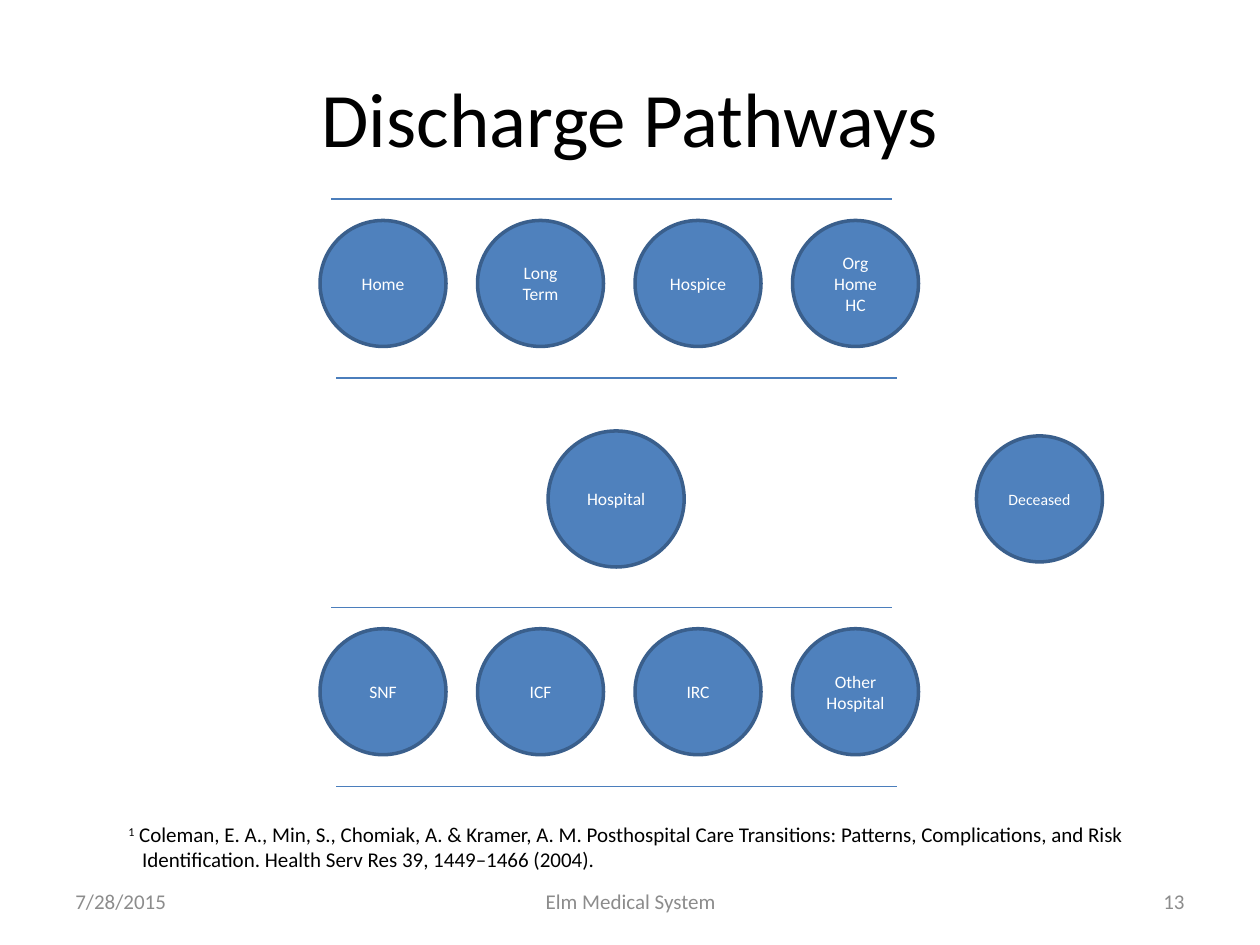
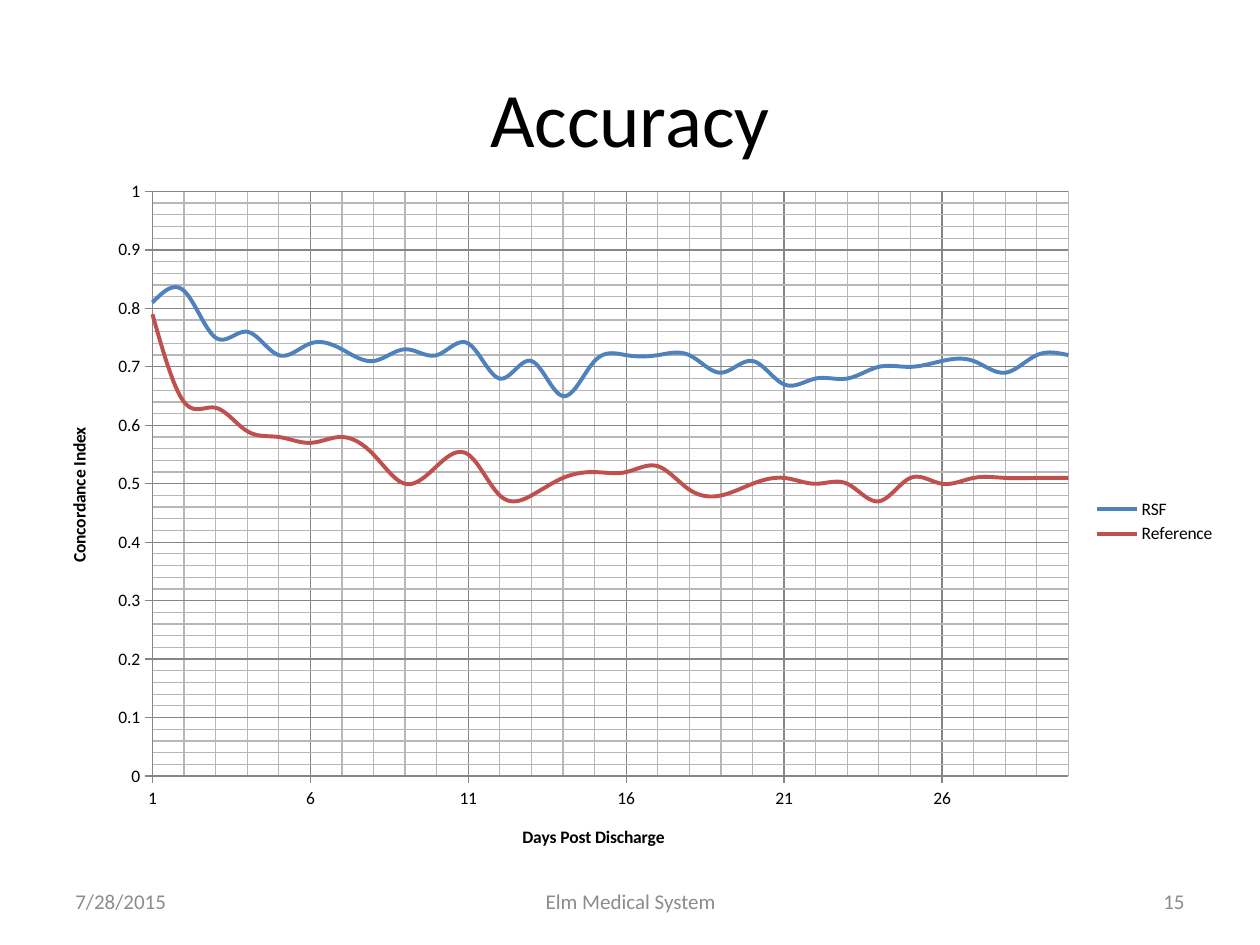
from dataclasses import dataclass

from lxml import etree
from pptx import Presentation
from pptx.chart import data
from pptx.dml.color import RGBColor
from pptx.enum import chart as ch, shapes, text
from pptx.oxml import ns
from pptx.util import Inches, Pt

FONT = "Calibri"
BLACK = RGBColor(0x00, 0x00, 0x00)
WHITE = RGBColor(0xFF, 0xFF, 0xFF)
FOOTER_GRAY = RGBColor(0x8C, 0x8C, 0x8C)
BLUE = RGBColor(0x4F, 0x81, 0xBD)
RED = RGBColor(0xC0, 0x50, 0x4D)
CIRCLE_EDGE = RGBColor(0x3A, 0x5F, 0x8C)
RULE_BLUE = RGBColor(0x4B, 0x7E, 0xBC)
AXIS_GRAY = RGBColor(0x86, 0x86, 0x86)
MINOR_GRAY = RGBColor(0xB7, 0xB7, 0xB7)

LEFT, CENTER, RIGHT = text.PP_ALIGN.LEFT, text.PP_ALIGN.CENTER, text.PP_ALIGN.RIGHT


@dataclass(frozen=True)
class Label:
    text: str
    left: float
    top: float
    width: float
    height: float
    size: float
    color: RGBColor
    align: text.PP_ALIGN


@dataclass(frozen=True)
class Circle:
    text: str
    left: float
    top: float
    diameter: float = 1.0
    size: float = 10


@dataclass(frozen=True)
class PathwayRow:
    top: float
    names: tuple[str, ...]


@dataclass(frozen=True)
class Curve:
    name: str
    color: RGBColor
    values: tuple[float, ...]


ROWS = (
    PathwayRow(1.58, ("Home", "Long Term", "Hospice", "Org Home HC")),
    PathwayRow(4.82, ("SNF", "ICF", "IRC", "Other\vHospital")),
)
CIRCLES = (
    Circle("Hospital", 4.35, 3.42, 1.08),
    Circle("Deceased", 7.75, 3.46, size=9),
)
ROW_LEFT, ROW_PITCH = 2.54, 1.25
RULE_WIDTH, RULE_GAP = 4.45, 1.42

CURVES = (
    Curve("RSF", BLUE, (
        0.81, 0.83, 0.75, 0.76, 0.72, 0.74, 0.73, 0.71, 0.73, 0.72,
        0.74, 0.68, 0.71, 0.65, 0.71, 0.72, 0.72, 0.72, 0.69, 0.71,
        0.67, 0.68, 0.68, 0.70, 0.70, 0.71, 0.71, 0.69, 0.72, 0.72)),
    Curve("Reference", RED, (
        0.79, 0.64, 0.63, 0.59, 0.58, 0.57, 0.58, 0.55, 0.50, 0.53,
        0.55, 0.48, 0.48, 0.51, 0.52, 0.52, 0.53, 0.49, 0.48, 0.50,
        0.51, 0.50, 0.50, 0.47, 0.51, 0.50, 0.51, 0.51, 0.51, 0.51)),
)


def style_font(font, size: float, color: RGBColor, bold: bool = False) -> None:
    font.name, font.size, font.bold = FONT, Pt(size), bold
    font.color.rgb = color


def add_run(p, words: str, size: float, color: RGBColor):
    """Add words to a paragraph, with a line break at each vertical tab."""
    for i, line in enumerate(words.split("\v")):
        if i:
            p.add_line_break()
        r = p.add_run()
        r.text = line
        style_font(r.font, size, color)
    return r


def add_label(s, label: Label) -> None:
    sp = s.shapes.add_textbox(Inches(label.left), Inches(label.top),
                              Inches(label.width), Inches(label.height))
    tf = sp.text_frame
    tf.word_wrap = True
    tf.vertical_anchor = text.MSO_ANCHOR.MIDDLE
    p = tf.paragraphs[0]
    p.alignment = label.align
    add_run(p, label.text, label.size, label.color)


def add_base_slide(prs, title: str, number: int):
    """Add a blank slide with the shared title and footer."""
    s = prs.slides.add_slide(prs.slide_layouts[6])
    for label in (
        Label(title, 0.5, 0.3, 9, 1.25, 44, BLACK, CENTER),
        Label("7/28/2015", 0.5, 6.95, 2.33, 0.4, 12, FOOTER_GRAY, LEFT),
        Label("Elm Medical System", 3.42, 6.95, 3.17, 0.4, 12, FOOTER_GRAY, CENTER),
        Label(str(number), 7.17, 6.95, 2.33, 0.4, 12, FOOTER_GRAY, RIGHT),
    ):
        add_label(s, label)
    return s


def add_circle(s, circle: Circle) -> None:
    side = Inches(circle.diameter)
    sp = s.shapes.add_shape(shapes.MSO_SHAPE.OVAL, Inches(circle.left),
                            Inches(circle.top), side, side)
    sp.shadow.inherit = False
    sp.fill.solid()
    sp.fill.fore_color.rgb = BLUE
    sp.line.color.rgb = CIRCLE_EDGE
    sp.line.width = Pt(2)
    tf = sp.text_frame
    tf.word_wrap = True
    tf.vertical_anchor = text.MSO_ANCHOR.MIDDLE
    p = tf.paragraphs[0]
    p.alignment = CENTER
    add_run(p, circle.text, circle.size, WHITE)


def add_rule(s, left: float, top: float) -> None:
    cxn = s.shapes.add_connector(shapes.MSO_CONNECTOR.STRAIGHT, Inches(left), Inches(top),
                                 Inches(left + RULE_WIDTH), Inches(top))
    cxn.line.color.rgb = RULE_BLUE
    cxn.line.width = Pt(0.75)
    etree.SubElement(cxn._element.spPr, ns.qn("a:effectLst"))


def add_pathway_row(s, row: PathwayRow) -> None:
    add_rule(s, 2.63, row.top)
    add_rule(s, 2.67, row.top + RULE_GAP)
    for i, name in enumerate(row.names):
        add_circle(s, Circle(name, ROW_LEFT + i * ROW_PITCH, row.top + 0.17))


def add_citation(s) -> None:
    sp = s.shapes.add_textbox(Inches(0.92), Inches(6.47), Inches(8.75), Inches(0.5))
    tf = sp.text_frame
    tf.word_wrap = True
    p = tf.paragraphs[0]
    pPr = p._p.get_or_add_pPr()
    pPr.set("marL", str(Inches(0.11)))
    pPr.set("indent", str(-Inches(0.11)))
    mark = add_run(p, "1", 12, BLACK)
    mark.font._element.set("baseline", "30000")
    add_run(p, " Coleman, E. A., Min, S., Chomiak, A. & Kramer, A. M. Posthospital Care "
               "Transitions: Patterns, Complications, and Risk\v"
               "Identification. Health Serv Res 39, 1449–1466 (2004).", 12, BLACK)


def color_minor_gridlines(axis, color: RGBColor) -> None:
    lines = axis._element.find(ns.qn("c:minorGridlines"))
    parent = etree.SubElement(lines, ns.qn("c:spPr"))
    ln = etree.SubElement(parent, ns.qn("a:ln"), w=str(Pt(0.75)))
    fill = etree.SubElement(ln, ns.qn("a:solidFill"))
    etree.SubElement(fill, ns.qn("a:srgbClr"), val=str(color))


def style_axis(axis, title: str, low: float, high: float, major: float, minor: float) -> None:
    axis.minimum_scale, axis.maximum_scale = low, high
    axis.major_unit, axis.minor_unit = major, minor
    axis.major_tick_mark = ch.XL_TICK_MARK.OUTSIDE
    axis.minor_tick_mark = ch.XL_TICK_MARK.NONE
    axis.crosses = ch.XL_AXIS_CROSSES.MINIMUM
    axis.has_major_gridlines = axis.has_minor_gridlines = True
    for line in (axis.format.line, axis.major_gridlines.format.line):
        line.color.rgb = AXIS_GRAY
        line.width = Pt(0.75)
    color_minor_gridlines(axis, MINOR_GRAY)
    axis.tick_labels.number_format = "General"
    axis.tick_labels.number_format_is_linked = False
    style_font(axis.tick_labels.font, 10, BLACK)
    r = axis.axis_title.text_frame.paragraphs[0].add_run()
    r.text = title
    style_font(r.font, 10, BLACK, bold=True)


def place_plot_area(chart, x: float, y: float, w: float, h: float) -> None:
    """Fix the inner plot area, in fractions of the chart."""
    plot_area = chart._chartSpace.chart.plotArea
    for old in plot_area.findall(ns.qn("c:layout")):
        plot_area.remove(old)
    layout = etree.Element(ns.qn("c:layout"))
    manual = etree.SubElement(layout, ns.qn("c:manualLayout"))
    for tag, value in (("layoutTarget", "inner"), ("xMode", "edge"), ("yMode", "edge"),
                       ("x", x), ("y", y), ("w", w), ("h", h)):
        etree.SubElement(manual, ns.qn(f"c:{tag}")).set("val", str(value))
    plot_area.insert(0, layout)


def add_accuracy_chart(s) -> None:
    chart_data = data.XyChartData()
    for curve in CURVES:
        series = chart_data.add_series(curve.name)
        for day, value in enumerate(curve.values, start=1):
            series.add_data_point(day, value)
    width, height = 9.42, 5.62
    chart = s.shapes.add_chart(ch.XL_CHART_TYPE.XY_SCATTER_SMOOTH_NO_MARKERS, Inches(0.33),
                               Inches(1.33), Inches(width), Inches(height), chart_data).chart
    style_font(chart.font, 10, BLACK)
    chart.has_title = False
    chart.has_legend = True
    chart.legend.position = ch.XL_LEGEND_POSITION.RIGHT
    chart.legend.include_in_layout = False
    style_font(chart.legend.font, 10, BLACK)
    plot = chart.plots[0]
    plot.vary_by_categories = False
    for series, curve in zip(plot.series, CURVES):
        series.format.line.color.rgb = curve.color
        series.format.line.width = Pt(2.25)
        series.marker.style = ch.XL_MARKER_STYLE.NONE
        series._element.get_or_add_smooth().val = True
    style_axis(chart.category_axis, "Days Post Discharge", 1, 30, 5, 1)
    style_axis(chart.value_axis, "Concordance Index", 0, 1, 0.1, 0.02)
    place_plot_area(chart, 0.88 / width, 0.19 / height, 7.27 / width, 4.64 / height)


def main() -> None:
    prs = Presentation()
    prs.slide_width, prs.slide_height = Inches(10), Inches(7.5)

    s = add_base_slide(prs, "Discharge Pathways", 13)
    add_citation(s)
    for circle in CIRCLES:
        add_circle(s, circle)
    for row in ROWS:
        add_pathway_row(s, row)

    s = add_base_slide(prs, "Accuracy", 15)
    add_accuracy_chart(s)

    prs.save("out.pptx")


if __name__ == "__main__":
    main()
